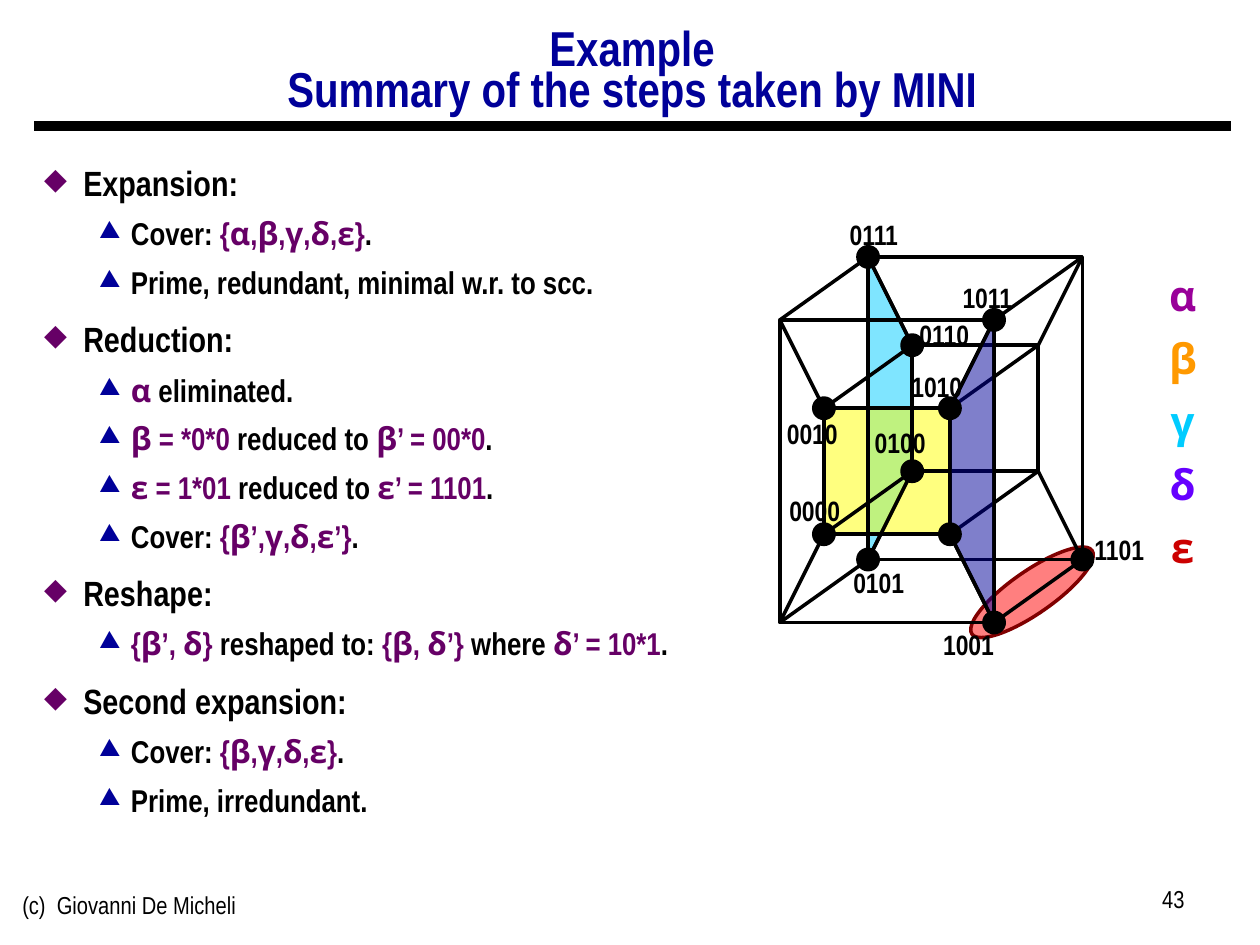
from itertools import groupby, product

from lxml.etree import SubElement
from pptx import Presentation
from pptx.dml.color import RGBColor
from pptx.enum.shapes import MSO_CONNECTOR as Link, MSO_SHAPE as Kind
from pptx.enum.text import MSO_ANCHOR as Anchor, PP_ALIGN as Align
from pptx.oxml.ns import qn
from pptx.util import Cm, Pt

TITLE = ["Example", "Summary of the steps taken by MINI"]
STEPS = [
    ("Expansion:", ["Cover: |{α,β,γ,δ,ε}|.",
                    "Prime, redundant, minimal w.r. to scc."]),
    ("Reduction:", ["|α| eliminated.",
                    "|β = *0*0| reduced to |β’ = 00*0|.",
                    "|ε = 1*01| reduced to |ε’ = 1101|.",
                    "Cover: |{β’,γ,δ,ε’}|."]),
    ("Reshape:", ["|{β’, δ}| reshaped to: |{β, δ’}| where |δ’ = 10*1|."]),
    ("Second expansion:", ["Cover: |{β,γ,δ,ε}|.", "Prime, irredundant."]),
]
LEGEND = [("α", "990099"), ("β", "FF9900"), ("γ", "00CCFF"),
          ("δ", "6600FF"), ("ε", "CC0000")]
LABELS = [
    ("0111", 16.84, 4.27), ("1011", 19.13, 5.54), ("0110", 18.26, 6.27),
    ("0010", 15.6, 8.28), ("0000", 15.65, 9.83), ("0101", 16.94, 11.28),
    ("1001", 18.75, 12.52), ("1101", 21.79, 10.62), ("0100", 17.37, 8.46),
    ("1010", 18.11, 7.32),
]
DOTS = ["0111", "1011", "0110", "0010", "1010", "0100", "1000", "0101",
        "1101", "1001", "0000"]
CYAN = ["0101", "0100", "0110", "0111"]
BLUE = ["1001", "1000", "1010", "1011"]
CUBES = {"0": (16.61, 10.77, 2.54, 2.54), "1": (15.72, 12.55, 4.32, 6.1)}
DEPTH = (1.78, 1.27)
DOT = 0.41
PURPLE = "660066"
NAVY = "000099"
BULLETS = [("◆", PURPLE, 85, 0.79, 0.79), ("▲", NAVY, 75, 1.75, 0.64)]

deck = Presentation()
deck.slide_width, deck.slide_height = Cm(25.4), Cm(19.05)
slide = deck.slides.add_slide(deck.slide_layouts[6])
shapes = slide.shapes


def rgb(code):
    return RGBColor.from_string(code)


def say(para, text, size=18, color="000000", bold=True, face="Arial Narrow"):
    for greek, part in groupby(text, lambda c: "α" <= c <= "ω"):
        run = para.add_run()
        run.text = "".join(part)
        font = run.font
        font.size, font.bold = Pt(size), bold
        font.name = "Open Sans" if greek else face
        font.color.rgb = rgb(color)


def box(x, y, w, h, wrap=True, align=Align.LEFT):
    frame = shapes.add_textbox(Cm(x), Cm(y), Cm(w), Cm(h)).text_frame
    frame.word_wrap = wrap
    frame.paragraphs[0].alignment = align
    return frame


def paint(shape, fill=None, line="000000", clear=False):
    shape.shadow.inherit = False
    shape.line.color.rgb, shape.line.width = rgb(line), Pt(2)
    if not fill:
        shape.fill.background()
        return
    shape.fill.solid()
    shape.fill.fore_color.rgb = rgb(fill)
    if clear:
        tone = shape.fill._xPr.find(".//" + qn("a:srgbClr"))
        SubElement(tone, qn("a:alpha"), val="50000")


def put(kind, x, y, w, h, **look):
    shape = shapes.add_shape(kind, Cm(x), Cm(y), Cm(w), Cm(h))
    paint(shape, **look)
    return shape


def rule(start, end, width=2):
    line = shapes.add_connector(Link.STRAIGHT, *map(Cm, start + end))
    line.line.color.rgb, line.line.width = rgb("000000"), Pt(width)
    SubElement(line._element.spPr, qn("a:effectLst"))


def spot(code):
    a, b, c = map(int, code[:3])
    x, y, w, h = CUBES[code[3]]
    return x + a * w + b * DEPTH[0], y - c * h - b * DEPTH[1]


def face(low, high, **look):
    (x, base), (end, top) = spot(low), spot(high)
    put(Kind.RECTANGLE, x, top, end - x, base - top, **look)


def plane(codes, fill):
    first, *rest = [tuple(map(Cm, spot(code))) for code in codes]
    form = shapes.build_freeform(*first)
    form.add_line_segments(rest, close=True)
    paint(form.convert_to_shape(), fill=fill, clear=True)


def item(para, text, level):
    sign, color, size, left, hang = BULLETS[level]
    para.level = level
    props = para._p.get_or_add_pPr()
    props.set("marL", str(Cm(left)))
    props.set("indent", str(-Cm(hang)))
    SubElement(SubElement(props, qn("a:buClr")), qn("a:srgbClr"), val=color)
    SubElement(props, qn("a:buSzPct"), val=str(size * 1000))
    SubElement(props, qn("a:buChar"), char=sign)
    if level == 0:
        para.line_spacing = 1.15
    for i, part in enumerate(text.split("|")):
        say(para, part, size=18 if level else 20,
            color=PURPLE if i % 2 else "000000")


rule((0.69, 2.54), (24.82, 2.54), width=6)
say(box(0.2, 17.81, 8.05, 1.32).paragraphs[0], "(c)  Giovanni De Micheli",
    size=14, bold=False)
say(box(18.21, 17.7, 5.92, 1.32, align=Align.RIGHT).paragraphs[0], "43",
    size=14, bold=False)

head = box(0.66, 0.56, 24.16, 1.9, align=Align.CENTER)
head.vertical_anchor = Anchor.MIDDLE
para = head.paragraphs[0]
para.line_spacing = 0.7
say(para, TITLE[0], size=28, color=NAVY)
para.add_line_break()
say(para, TITLE[1], size=28, color=NAVY)

body = box(0.64, 3, 24.16, 14.45)
lines = [(text, level) for step, subs in STEPS
         for text, level in [(step, 0)] + [(sub, 1) for sub in subs]]
for i, (text, level) in enumerate(lines):
    para = body.add_paragraph() if i else body.paragraphs[0]
    item(para, text, level)
    if i:
        para.space_before = Pt(6.2)

for i, (sign, color) in enumerate(LEGEND):
    frame = box(23.32, 5.31 + 1.27 * i, 1.04, 1.3, False, Align.CENTER)
    say(frame.paragraphs[0], sign, size=24, color=color)

plane(CYAN, "00CCFF")
face("0000", "1010", fill="FFFF00", clear=True)
oval = put(Kind.OVAL, 19.33, 11.51, 2.95, 0.86, fill="FF0000",
           line="800000", clear=True)
oval.rotation = 325.2
for b, d in product("01", repeat=2):
    face(f"0{b}0{d}", f"1{b}1{d}")
for a, c, k in product("01", repeat=3):
    rule(spot(f"{a}0{c}{k}"), spot(f"{a}1{c}{k}"))
    rule(spot(f"{a}{k}{c}0"), spot(f"{a}{k}{c}1"))
plane(BLUE, NAVY)

for code in DOTS:
    x, y = spot(code)
    put(Kind.OVAL, x - DOT / 2, y - DOT / 2, DOT, DOT, fill="000000")
for code, x, y in LABELS:
    frame = box(x, y, 1.55, 0.94, False, Align.CENTER)
    say(frame.paragraphs[0], code, size=16)

deck.save("out.pptx")
